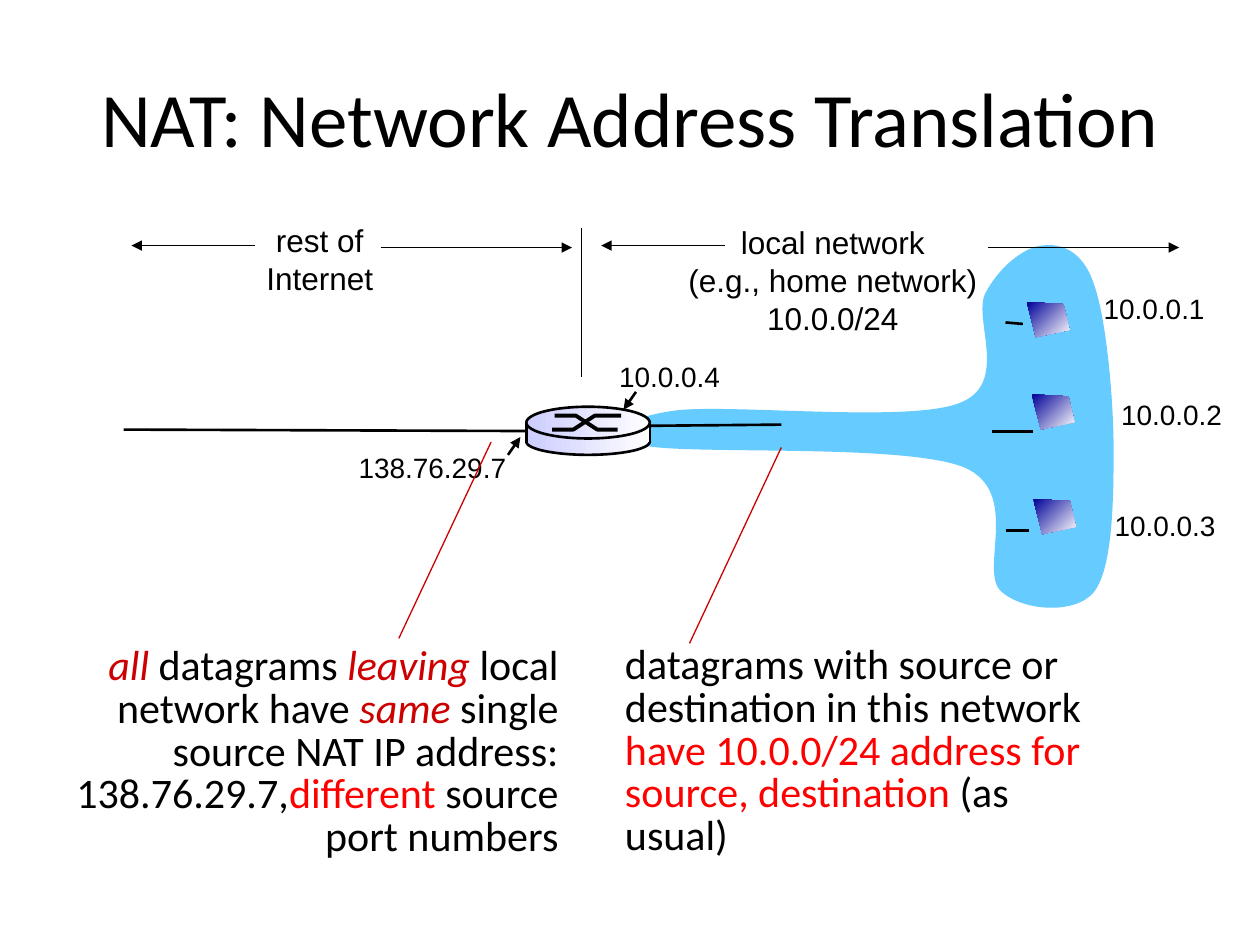
from dataclasses import dataclass

from lxml.etree import SubElement as Sub
from pptx import Presentation
from pptx.dml.color import RGBColor as Rgb
from pptx.enum.shapes import MSO_CONNECTOR as Link, MSO_SHAPE as Kind
from pptx.enum.text import MSO_ANCHOR as Anchor, MSO_AUTO_SIZE as Fit, PP_ALIGN as Align
from pptx.oxml.ns import qn
from pptx.util import Cm, Pt


@dataclass(frozen=True)
class Theme:
    ink: str = "000000"
    cloud: str = "66CCFF"
    deep: str = "CC0000"
    red: str = "FF0000"
    lilac: str = "CCCCFF"
    navy: str = "000099"
    white: str = "FFFFFF"
    sans: str = "Arial"
    body: str = "Calibri"
    title: int = 44
    note: int = 24
    zone: int = 18
    label: int = 16
    bold: float = 2.25
    wire: float = 1.5
    thin: float = 0.75


T = Theme()

CLOUD = [
    (13.59, 8.28),
    (14.66, 8.13), (18.29, 8.53), (19.33, 8.13),
    (20.37, 7.75), (19.61, 6.45), (19.86, 5.92),
    (20.14, 5.38), (20.65, 4.98), (21.01, 4.95),
    (21.36, 4.9), (21.82, 5.03), (22.05, 5.72),
    (22.3, 6.4), (22.45, 8.03), (22.45, 9.07),
    (22.45, 10.11), (22.43, 11.46), (22.05, 11.94),
    (21.67, 12.4), (20.6, 12.32), (20.17, 11.91),
    (19.74, 11.48), (20.6, 9.91), (19.43, 9.42),
    (18.24, 8.94), (14, 9.17), (13.03, 8.99),
    (12.07, 8.79), (12.62, 8.41), (13.59, 8.28),
]


def text(to, box, paras, size=T.label, font=T.sans, align=Align.LEFT,
         wrap=False, space=None, anchor=Anchor.TOP, fit=Fit.SHAPE_TO_FIT_TEXT):
    frame = to.add_textbox(*map(Cm, box)).text_frame
    frame.word_wrap, frame.auto_size = wrap, fit
    frame.vertical_anchor = anchor
    for i, runs in enumerate(paras):
        para = frame.paragraphs[0] if i == 0 else frame.add_paragraph()
        para.alignment, para.line_spacing = align, space
        for words, tint, slant in [(runs, T.ink, False)] if isinstance(runs, str) else runs:
            run = para.add_run()
            run.text = words
            run.font.name, run.font.size = font, Pt(size)
            run.font.color.rgb = Rgb.from_string(tint)
            run.font.italic = slant


def line(to, ends, width=T.wire, tint=T.ink, arrow=False):
    wire = to.add_connector(Link.STRAIGHT, *map(Cm, ends))
    wire.line.width = Pt(width)
    wire.line.color.rgb = Rgb.from_string(tint)
    props = wire._element.spPr
    if arrow:
        Sub(props.find(qn("a:ln")), qn("a:tailEnd"), type="triangle")
    Sub(props, qn("a:effectLst"))


def paint(shape, fill=None, edge=None, width=T.wire, angle=0):
    shape.shadow.inherit = False
    if isinstance(fill, tuple):
        shape.fill.gradient()
        shape.fill.gradient_angle = angle
        for stop, tint in zip(shape.fill.gradient_stops, fill):
            stop.color.rgb = Rgb.from_string(tint)
    elif fill:
        shape.fill.solid()
        shape.fill.fore_color.rgb = Rgb.from_string(fill)
    else:
        shape.fill.background()
    if edge:
        shape.line.color.rgb = Rgb.from_string(edge)
        shape.line.width = Pt(width)
    else:
        shape.line.fill.background()


def free(to, dots, close=True, **look):
    dots = [(Cm(x), Cm(y)) for x, y in dots]
    pen = to.build_freeform(*dots[0])
    pen.add_line_segments(dots[1:], close=close)
    shape = pen.convert_to_shape()
    paint(shape, **look)
    return shape


def bend(shape):
    legs = list(shape._element.iter(qn("a:lnTo")))
    for first, *rest in zip(legs[::3], legs[1::3], legs[2::3]):
        first.tag = qn("a:cubicBezTo")
        for leg in rest:
            first.append(leg[0])
            leg.getparent().remove(leg)


def router(to):
    group = to.add_group_shape().shapes
    left, wide = 10.61, 2.49
    for kind, top, high, edge in [
        (Kind.OVAL, 8.64, 0.53, T.ink),
        (Kind.RECTANGLE, 8.59, 0.33, None),
        (Kind.OVAL, 8.2, 0.64, T.ink),
    ]:
        part = group.add_shape(kind, *map(Cm, (left, top, wide, high)))
        paint(part, fill=(T.lilac, T.white), edge=edge)
    low, high = 8.66, 8.38
    for spots, a, b in [((11.13, 11.56, 11.99, 12.52), low, high),
                        ((11.18, 11.61, 12.04, 12.45), high, low)]:
        free(group, zip(spots, (a, a, b, b)), close=False, edge=T.ink, width=T.bold)
    for x in (left, left + wide):
        line(group, (x, 8.52, x, 8.94))


def host(to, x, y):
    dots = [(x + a, y + b) for a, b in [(0, 0), (0.74, 0.04), (0.86, 0.56), (0.18, 0.71)]]
    free(to, dots, fill=(T.navy, T.white), angle=315)


def main():
    deck = Presentation()
    deck.slide_width, deck.slide_height = Cm(25.4), Cm(19.05)
    to = deck.slides.add_slide(deck.slide_layouts[6]).shapes

    text(to, (1.27, 0.76, 22.86, 3.18), ["NAT: Network Address Translation"],
         size=T.title, font=T.body, align=Align.CENTER, wrap=True,
         anchor=Anchor.MIDDLE, fit=Fit.NONE)
    bend(free(to, CLOUD, fill=T.cloud))

    for ends in [
        (12.37, 8.59, 15.75, 8.56), (20.83, 8.7, 19.99, 8.7),
        (20.27, 6.5, 20.62, 6.53), (20.27, 10.69, 20.75, 10.69),
        (2.49, 8.66, 10.9, 8.69),
    ]:
        line(to, ends)
    for ends in [(12.82, 7.9, 12.57, 8.26), (10.24, 9.17, 10.49, 8.81)]:
        line(to, ends, arrow=True)
    for x, y, wide, name in [
        (22, 5.75, 2.57, "10.0.0.1"), (22.35, 7.89, 2.57, "10.0.0.2"),
        (22.22, 10.13, 2.57, "10.0.0.3"), (12.23, 7.12, 2.57, "10.0.0.4"),
        (6.98, 8.95, 3.51, "138.76.29.7"),
    ]:
        text(to, (x, y, wide, 0.94), [name])

    text(to, (13.53, 4.37, 6.52, 2.54),
         ["local network", "(e.g., home network)", "10.0.0/24"],
         size=T.zone, align=Align.CENTER)
    text(to, (5.01, 4.33, 2.87, 1.78), ["rest of", "Internet"],
         size=T.zone, align=Align.CENTER)
    line(to, (11.72, 4.6, 11.72, 7.59), width=T.thin)
    for x, end, y in [(19.92, 23.77, 4.99), (14.61, 12.12, 4.95),
                      (7.68, 11.53, 4.99), (5.15, 2.65, 4.95)]:
        line(to, (x, y, end, y), width=T.thin, arrow=True)

    note = dict(size=T.note, font=T.body, wrap=True, space=0.85)
    text(to, (12.35, 12.88, 10.3, 3.71), [
        "datagrams with source or",
        "destination in this network",
        [("have 10.0.0/24 address for", T.red, False)],
        [("source, destination ", T.red, False), ("(as usual)", T.ink, False)],
    ], **note)
    text(to, (1.27, 12.9, 10.24, 4.57), [
        [("all ", T.deep, True), ("datagrams ", T.ink, False),
         ("leaving", T.deep, True), (" local", T.ink, False)],
        [("network have ", T.ink, False), ("same", T.deep, True),
         (" single source NAT IP address: 138.76.29.7,", T.ink, False),
         ("different", T.red, False), (" source port numbers", T.ink, False)],
    ], align=Align.RIGHT, **note)
    for ends in [(13.9, 12.97, 15.75, 9.02), (8.04, 12.87, 9.9, 8.91)]:
        line(to, ends, width=T.thin, tint=T.deep)

    router(to)
    for x, y in [(20.7, 6.09), (20.8, 7.95), (20.83, 10.06)]:
        host(to, x, y)
    deck.save("out.pptx")


if __name__ == "__main__":
    main()
